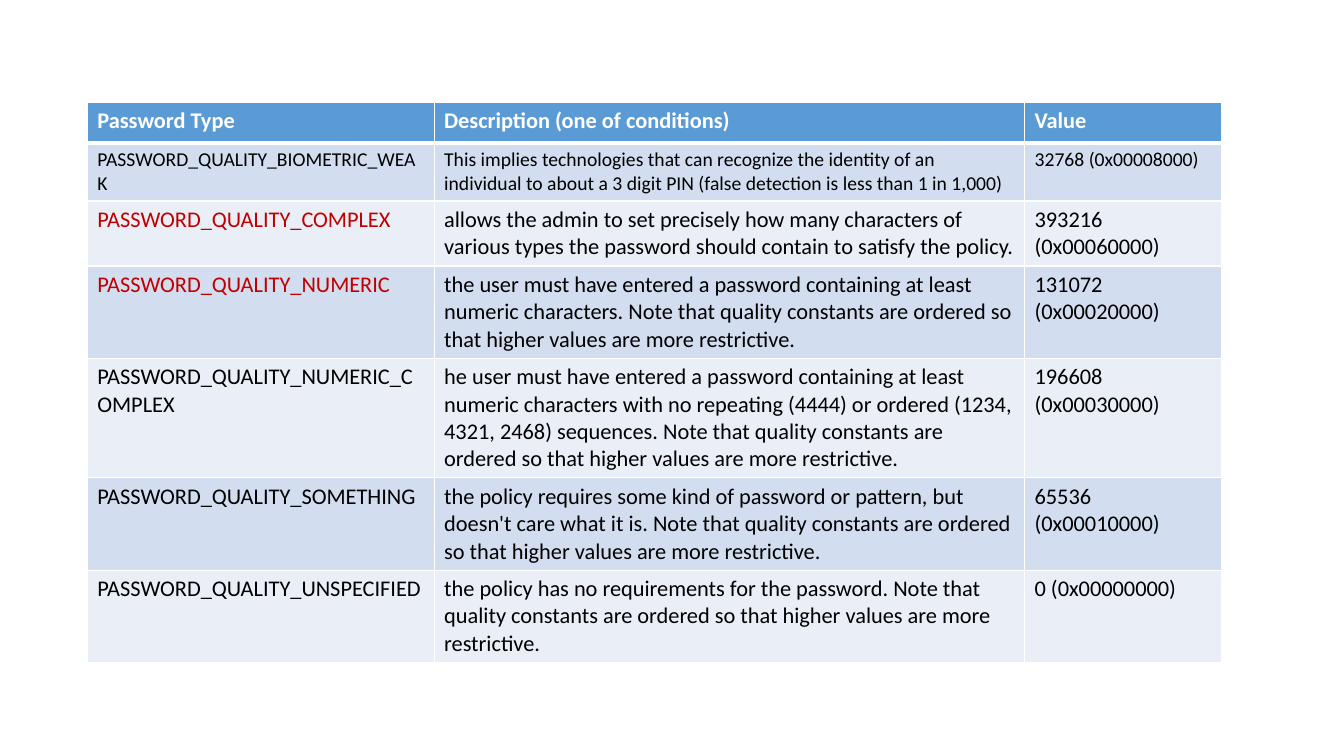
import lxml.etree
import pptx
import pptx.dml.color
import pptx.oxml.ns
import pptx.util

Cm = pptx.util.Cm
RGBColor = pptx.dml.color.RGBColor

WHITE = RGBColor(0xFF, 0xFF, 0xFF)
BLACK = RGBColor(0x00, 0x00, 0x00)
RED = RGBColor(0xC0, 0x00, 0x00)
HEADER_BLUE = RGBColor(0x5B, 0x9B, 0xD5)
BAND_COLORS = [RGBColor(0xEA, 0xEF, 0xF7), RGBColor(0xD2, 0xDE, 0xEF)]

COLUMN_WIDTHS = [8.74, 14.88, 4.96]
ROW_HEIGHTS = [1.03, 1.14, 1.14, 1.03, 1.03, 1.03, 1.03]
SMALL_ROW = 1
RED_TYPES = {"PASSWORD_QUALITY_COMPLEX", "PASSWORD_QUALITY_NUMERIC"}
ORDER_NOTE = "Note that quality constants are ordered so that higher values are more restrictive."
ROWS = [
    ("Password Type", "Description (one of conditions)", "Value"),
    ("PASSWORD_QUALITY_BIOMETRIC_WEAK",
     "This implies technologies that can recognize the identity of an individual "
     "to about a 3 digit PIN (false detection is less than 1 in 1,000)",
     "32768 (0x00008000)"),
    ("PASSWORD_QUALITY_COMPLEX",
     "allows the admin to set precisely how many characters of various types "
     "the password should contain to satisfy the policy.",
     "393216 (0x00060000)"),
    ("PASSWORD_QUALITY_NUMERIC",
     "the user must have entered a password containing at least numeric "
     f"characters. {ORDER_NOTE}",
     "131072 (0x00020000)"),
    ("PASSWORD_QUALITY_NUMERIC_COMPLEX",
     "he user must have entered a password containing at least numeric characters "
     f"with no repeating (4444) or ordered (1234, 4321, 2468) sequences. {ORDER_NOTE}",
     "196608 (0x00030000)"),
    ("PASSWORD_QUALITY_SOMETHING",
     "the policy requires some kind of password or pattern, but doesn't care "
     f"what it is. {ORDER_NOTE}",
     "65536 (0x00010000)"),
    ("PASSWORD_QUALITY_UNSPECIFIED",
     f"the policy has no requirements for the password. {ORDER_NOTE}",
     "0 (0x00000000)"),
]


def add_cell_borders(cell, widths):
    """Draw white borders; widths maps each side (L, R, T, B) to points."""
    properties = cell._tc.get_or_add_tcPr()
    qn = pptx.oxml.ns.qn
    for side, width in widths.items():
        line = lxml.etree.SubElement(properties, qn(f"a:ln{side}"), w=str(pptx.util.Pt(width)))
        fill = lxml.etree.SubElement(line, qn("a:solidFill"))
        lxml.etree.SubElement(fill, qn("a:srgbClr"), val=str(WHITE))


presentation = pptx.Presentation()
presentation.slide_width = Cm(33.87)
presentation.slide_height = Cm(19.05)
slide = presentation.slides.add_slide(presentation.slide_layouts[6])

table_height = Cm(14.58)
table_frame = slide.shapes.add_table(len(ROWS), len(COLUMN_WIDTHS), Cm(2.2), Cm(2.58),
                                     Cm(sum(COLUMN_WIDTHS)), table_height)
table = table_frame.table
for column, width in zip(table.columns, COLUMN_WIDTHS):
    column.width = Cm(width)
for row, height in zip(table.rows, ROW_HEIGHTS):
    row.height = Cm(height)
table_frame.height = table_height

for row_index, texts in enumerate(ROWS):
    is_header = row_index == 0
    for column_index, text in enumerate(texts):
        cell = table.cell(row_index, column_index)
        add_cell_borders(cell, {"L": 1, "R": 1, "T": 3 if row_index == 1 else 1,
                                "B": 3 if is_header else 1})
        cell.fill.solid()
        cell.fill.fore_color.rgb = HEADER_BLUE if is_header else BAND_COLORS[row_index % 2]
        cell.text = text
        font = cell.text_frame.paragraphs[0].runs[0].font
        font_format = {"name": "Calibri", "bold": is_header,
                       "size": pptx.util.Pt(14 if row_index == SMALL_ROW else 16)}
        for attribute, value in font_format.items():
            setattr(font, attribute, value)
        font.color.rgb = WHITE if is_header else RED if text in RED_TYPES else BLACK

presentation.save("out.pptx")
